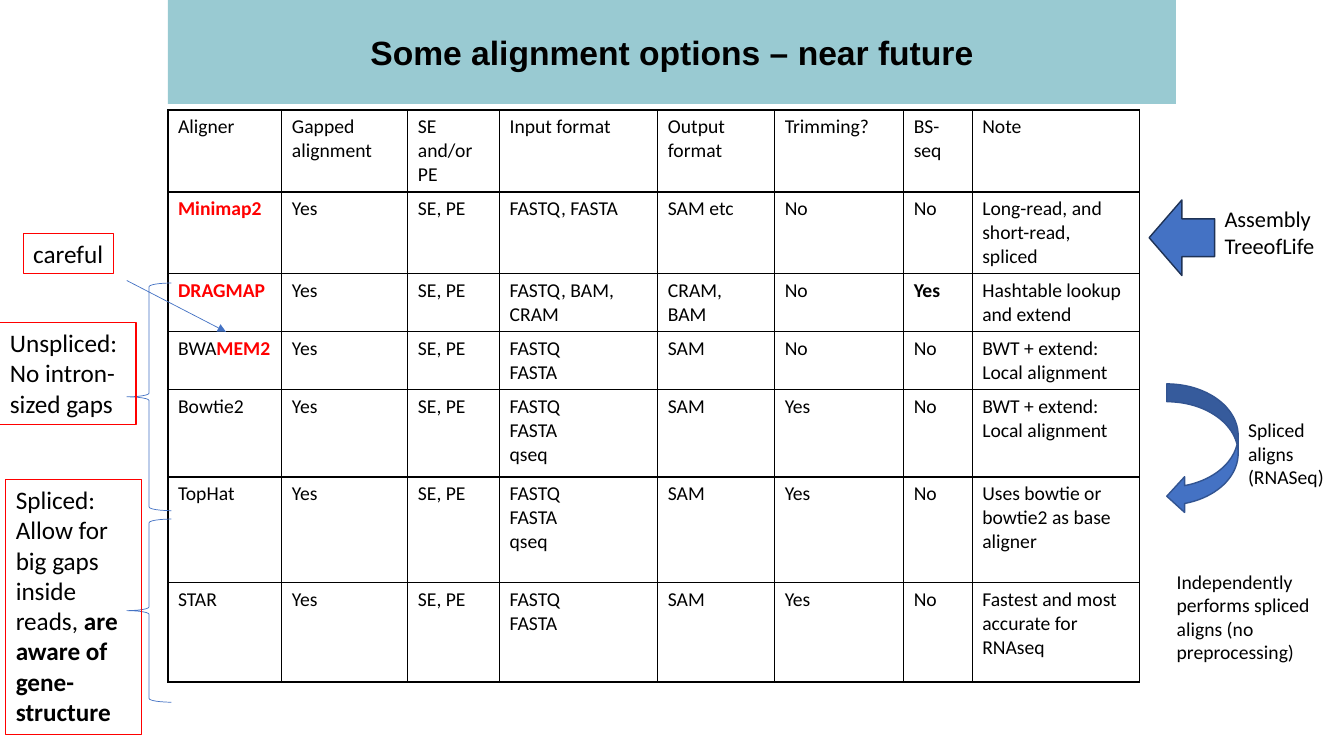
from dataclasses import dataclass
from typing import NamedTuple, Optional

from lxml.etree import SubElement
from pptx import Presentation
from pptx.dml.color import RGBColor
from pptx.enum.shapes import MSO_CONNECTOR, MSO_SHAPE
from pptx.enum.text import MSO_ANCHOR, MSO_AUTO_SIZE, PP_ALIGN
from pptx.oxml.ns import qn
from pptx.slide import Slide
from pptx.table import _Cell
from pptx.text.text import TextFrame
from pptx.util import Inches, Pt

BLACK = RGBColor(0, 0, 0)
RED = RGBColor(0xFF, 0, 0)
TEAL = RGBColor(0x99, 0xCA, 0xD2)
BLUE = RGBColor(0x44, 0x72, 0xC4)
NAVY = RGBColor(0x32, 0x54, 0x91)
DARK = RGBColor(0x1E, 0x32, 0x56)

WIDTH, HEIGHT = Inches(13.33), Inches(7.5)
COLS, ROWS = 160, 90  # grid of the slide


class Area(NamedTuple):
    """A place on the slide, in grid columns and rows."""
    left: float
    top: float
    width: float
    height: float


@dataclass
class Note:
    area: Area
    text: str
    size: int
    framed: bool = False
    wrap: bool = True


@dataclass
class Mark:
    kind: MSO_SHAPE
    area: Area
    line: RGBColor
    weight: float
    fill: Optional[RGBColor] = None


# Text between asterisks is stressed.
NOTES = [
    Note(Area(147.4, 49.2, 12.6, 9.7), "Spliced aligns\n(RNASeq)", 14),
    Note(Area(138.9, 67.2, 21.1, 12.5),
         "Independently performs spliced aligns (no preprocessing)", 14),
    Note(Area(144.6, 23.8, 13.9, 7.7), "Assembly\nTreeofLife", 16),
    Note(Area(0, 38.4, 16.2, 12.1), "Unspliced:\nNo intron-sized gaps", 18, True),
    Note(Area(0.7, 57.1, 16.2, 30.3),
         "Spliced:\nAllow for big gaps inside reads, "
         "*are aware of gene-structure*", 18, True),
    Note(Area(2.76, 27.8, 10.8, 4.8), "careful", 18, True, False),
]

MARKS = [
    Mark(MSO_SHAPE.CURVED_LEFT_ARROW, Area(138.9, 45.7, 8.5, 15.5), NAVY, 1, BLUE),
    Mark(MSO_SHAPE.LEFT_ARROW, Area(136.8, 23.8, 7.8, 9), DARK, 1, BLUE),
    Mark(MSO_SHAPE.LEFT_BRACE, Area(15.1, 61.8, 5.3, 21.8), BLUE, 0.5),
    Mark(MSO_SHAPE.LEFT_BRACE, Area(15.1, 33.7, 5.3, 27.1), BLUE, 0.5),
]

SPANS = [13.56, 15, 10.92, 18.84, 13.92, 15.36, 8.16, 19.92]
DEPTHS = [9.75, 9.75, 6.9, 6.9, 10.4, 12.6, 11.8]
GRID = [
    ["Aligner", "Gapped alignment", "SE and/or PE", "Input format",
     "Output format", "Trimming?", "BS-seq", "Note"],
    ["*Minimap2*", "Yes", "SE, PE", "FASTQ, FASTA", "SAM etc", "No", "No",
     "Long-read, and short-read, spliced"],
    ["*DRAGMAP*", "Yes", "SE, PE", "FASTQ, BAM, CRAM", "CRAM, BAM", "No", "*Yes*",
     "Hashtable lookup and extend"],
    ["BWA*MEM2*", "Yes", "SE, PE", "FASTQ\nFASTA", "SAM", "No", "No",
     "BWT + extend:\nLocal alignment"],
    ["Bowtie2", "Yes", "SE, PE", "FASTQ\nFASTA\nqseq", "SAM", "Yes", "No",
     "BWT + extend:\nLocal alignment"],
    ["TopHat", "Yes", "SE, PE", "FASTQ\nFASTA\nqseq", "SAM", "Yes", "No",
     "Uses bowtie or bowtie2 as base aligner"],
    ["STAR", "Yes", "SE, PE", "FASTQ\nFASTA", "SAM", "Yes", "No",
     "Fastest and most accurate for RNAseq"],
]


def across(cols: float) -> int:
    return round(WIDTH * cols / COLS)


def down(rows: float) -> int:
    return round(HEIGHT * rows / ROWS)


def place(area: Area) -> tuple[int, int, int, int]:
    return across(area.left), down(area.top), across(area.width), down(area.height)


def write(frame: TextFrame, text: str, size: int, accent: RGBColor = BLACK) -> None:
    """Fill the frame; stressed parts become bold in the accent colour."""
    for row, line in enumerate(text.split("\n")):
        para = frame.add_paragraph() if row else frame.paragraphs[0]
        for part, words in enumerate(line.split("*")):
            if not words:
                continue
            run = para.add_run()
            run.text = words
            stress = part % 2 == 1
            run.font.name, run.font.size = "Calibri", Pt(size)
            run.font.bold = stress
            run.font.color.rgb = accent if stress else BLACK


def add_title(slide: Slide) -> None:
    title = slide.shapes.title
    title.left, title.top, title.width, title.height = place(Area(20, 0, 120, 12.36))
    title.fill.solid()
    title.fill.fore_color.rgb = TEAL
    frame = title.text_frame
    frame.text = "Some alignment options – near future"
    frame.auto_size = MSO_AUTO_SIZE.NONE
    frame.vertical_anchor = MSO_ANCHOR.MIDDLE
    para = frame.paragraphs[0]
    para.alignment = PP_ALIGN.CENTER
    font = para.runs[0].font
    font.name, font.size, font.bold = "Arial", Pt(24), True
    font.color.rgb = BLACK


def rule_cell(cell: _Cell) -> None:
    """Draw thin black borders on all four sides."""
    props = cell._tc.get_or_add_tcPr()
    for side in ("lnL", "lnR", "lnT", "lnB"):
        edge = SubElement(props, qn(f"a:{side}"), w=str(Pt(1)))
        fill = SubElement(edge, qn("a:solidFill"))
        SubElement(fill, qn("a:srgbClr"), val=str(BLACK))


def add_grid(slide: Slide) -> None:
    area = Area(20, 13.1, sum(SPANS), sum(DEPTHS))
    table = slide.shapes.add_table(len(DEPTHS), len(SPANS), *place(area)).table
    table.first_row = table.horz_banding = False
    for col, span in zip(table.columns, SPANS):
        col.width = across(span)
    for row, depth, texts in zip(table.rows, DEPTHS, GRID):
        row.height = down(depth)
        for index, (cell, text) in enumerate(zip(row.cells, texts)):
            write(cell.text_frame, text, 14, BLACK if index else RED)
            rule_cell(cell)
            cell.fill.background()


def add_mark(slide: Slide, mark: Mark) -> None:
    shape = slide.shapes.add_shape(mark.kind, *place(mark.area))
    shape.shadow.inherit = False
    if mark.fill is None:
        shape.fill.background()
    else:
        shape.fill.solid()
        shape.fill.fore_color.rgb = mark.fill
    shape.line.color.rgb = mark.line
    shape.line.width = Pt(mark.weight)


def add_note(slide: Slide, note: Note) -> None:
    box = slide.shapes.add_textbox(*place(note.area))
    frame = box.text_frame
    frame.word_wrap = note.wrap
    frame.auto_size = MSO_AUTO_SIZE.SHAPE_TO_FIT_TEXT
    write(frame, note.text, note.size)
    if note.framed:
        box.line.color.rgb = RED
        box.line.width = Pt(0.75)


def add_arrow(slide: Slide) -> None:
    arrow = slide.shapes.add_connector(
        MSO_CONNECTOR.STRAIGHT, across(15.1), down(33.4), across(26.9), down(39.5))
    arrow.line.color.rgb = BLUE
    arrow.line.width = Pt(0.5)
    SubElement(arrow.line._get_or_add_ln(), qn("a:tailEnd"), type="triangle")
    SubElement(arrow._element.spPr, qn("a:effectLst"))


def main() -> None:
    deck = Presentation()
    deck.slide_width, deck.slide_height = WIDTH, HEIGHT
    slide = deck.slides.add_slide(deck.slide_layouts[5])
    add_title(slide)
    add_grid(slide)
    for mark in MARKS:
        add_mark(slide, mark)
    for note in NOTES:
        add_note(slide, note)
    add_arrow(slide)
    deck.save("out.pptx")


if __name__ == "__main__":
    main()
